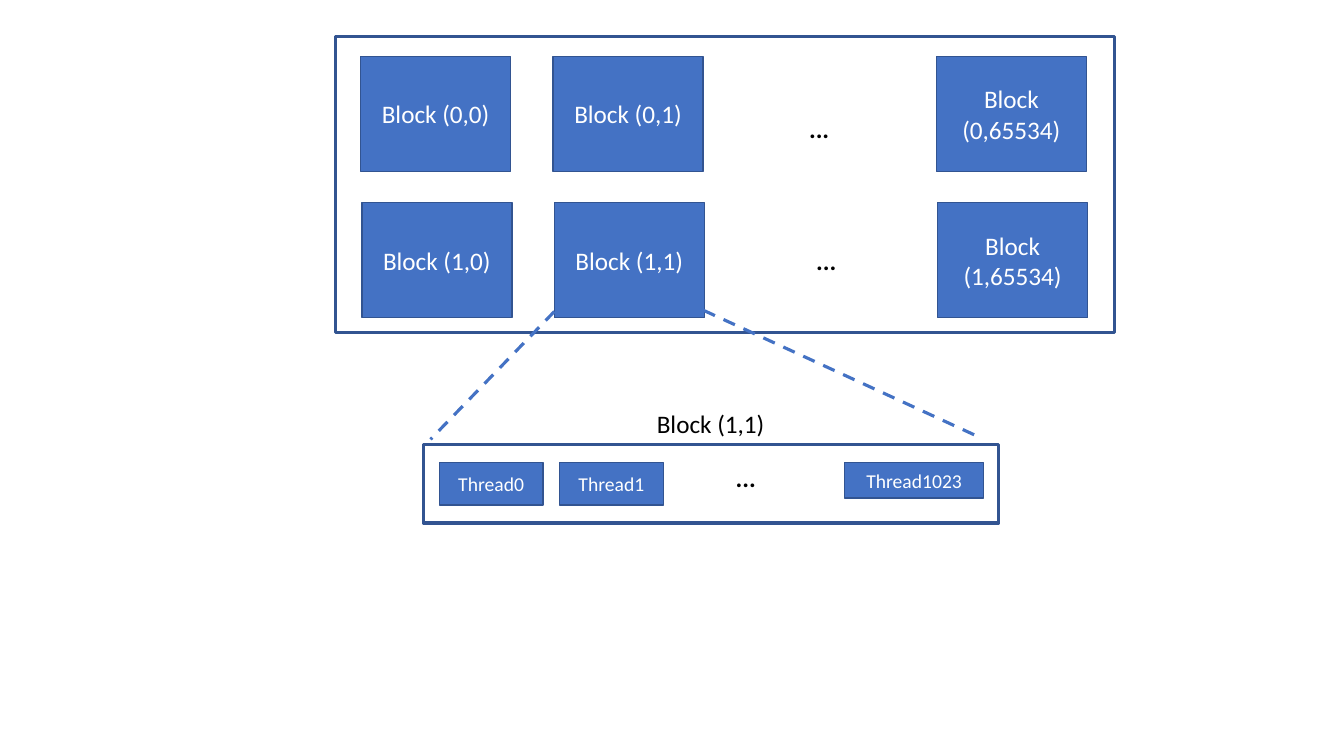
from lxml import etree
from pptx import Presentation
from pptx import util as u
from pptx.dml.color import RGBColor
from pptx.enum import dml, shapes, text
from pptx.oxml.ns import qn

COLORS = {"fill": "4472C4", "edge": "325491", "light": "FFFFFF", "dark": "000000"}


def add_rect(left, top, width, height, label=None, size=18):
    """Filled box with a label, or a hollow frame when there is no label."""
    box = diagram.shapes.add_shape(shapes.MSO_SHAPE.RECTANGLE, u.Cm(left), u.Cm(top),
                                   u.Cm(width), u.Cm(height))
    box.shadow.inherit = False
    box.line.color.rgb = RGBColor.from_string(COLORS["edge"])
    box.line.width = u.Pt(1 if label else 2.25)
    if not label:
        box.fill.background()
        return
    box.fill.solid()
    box.fill.fore_color.rgb = RGBColor.from_string(COLORS["fill"])
    box.text_frame.vertical_anchor = text.MSO_ANCHOR.MIDDLE
    write(box, label, size, "light", text.PP_ALIGN.CENTER)


def write(box, label, size, color, align, bold=False):
    box.text_frame.word_wrap = True
    para = box.text_frame.paragraphs[0]
    para.alignment = align
    span = para.add_run()
    span.text = label
    span.font.name = "Calibri"
    span.font.size = u.Pt(size)
    span.font.bold = bold
    span.font.color.rgb = RGBColor.from_string(COLORS[color])


deck = Presentation()
deck.slide_width, deck.slide_height = u.Cm(33.87), u.Cm(19.05)
page = deck.slides.add_slide(deck.slide_layouts[6])
diagram = page.shapes.add_group_shape()

# Grid of blocks, second row shifted slightly to the right
add_rect(8.46, 0.91, 19.63, 7.47)
for row in range(2):
    for column, left in ((0, 9.09), (1, 13.94), (65534, 23.6)):
        add_rect(left + 0.03 * row, 1.42 + 3.69 * row, 3.78, 2.9, f"Block ({row},{column})")

# Threads inside one block
add_rect(10.67, 11.2, 14.5, 1.98)
for thread, left, width, height in ((0, 11.07, 2.62, 1.07), (1, 14.1, 2.62, 1.07),
                                    (1023, 21.29, 3.5, 0.89)):
    add_rect(left, 11.66, width, height, f"Thread{thread}", 14)

# Ellipses and block caption
for label, left, top in (("...", 20.14, 2.74), ("...", 20.32, 6.05),
                         ("...", 18.29, 11.53), ("Block (1,1)", 14.1, 10.16)):
    dots = label == "..."
    box = diagram.shapes.add_textbox(u.Cm(left), u.Cm(top), u.Cm(7.62), u.Cm(1.02))
    write(box, label, 18, "dark",
          text.PP_ALIGN.LEFT if dots else text.PP_ALIGN.CENTER, dots)

# Dashed zoom lines from Block (1,1) to its threads
for ends in ((17.73, 7.82, 24.69, 11.02), (13.97, 7.85, 10.85, 11.07)):
    zoom = diagram.shapes.add_connector(shapes.MSO_CONNECTOR.STRAIGHT,
                                        *[u.Cm(end) for end in ends])
    zoom.line.color.rgb = RGBColor.from_string(COLORS["fill"])
    zoom.line.width = u.Pt(2.25)
    zoom.line.dash_style = dml.MSO_LINE.DASH
    etree.SubElement(zoom._element.spPr, qn("a:effectLst"))

deck.save("out.pptx")
